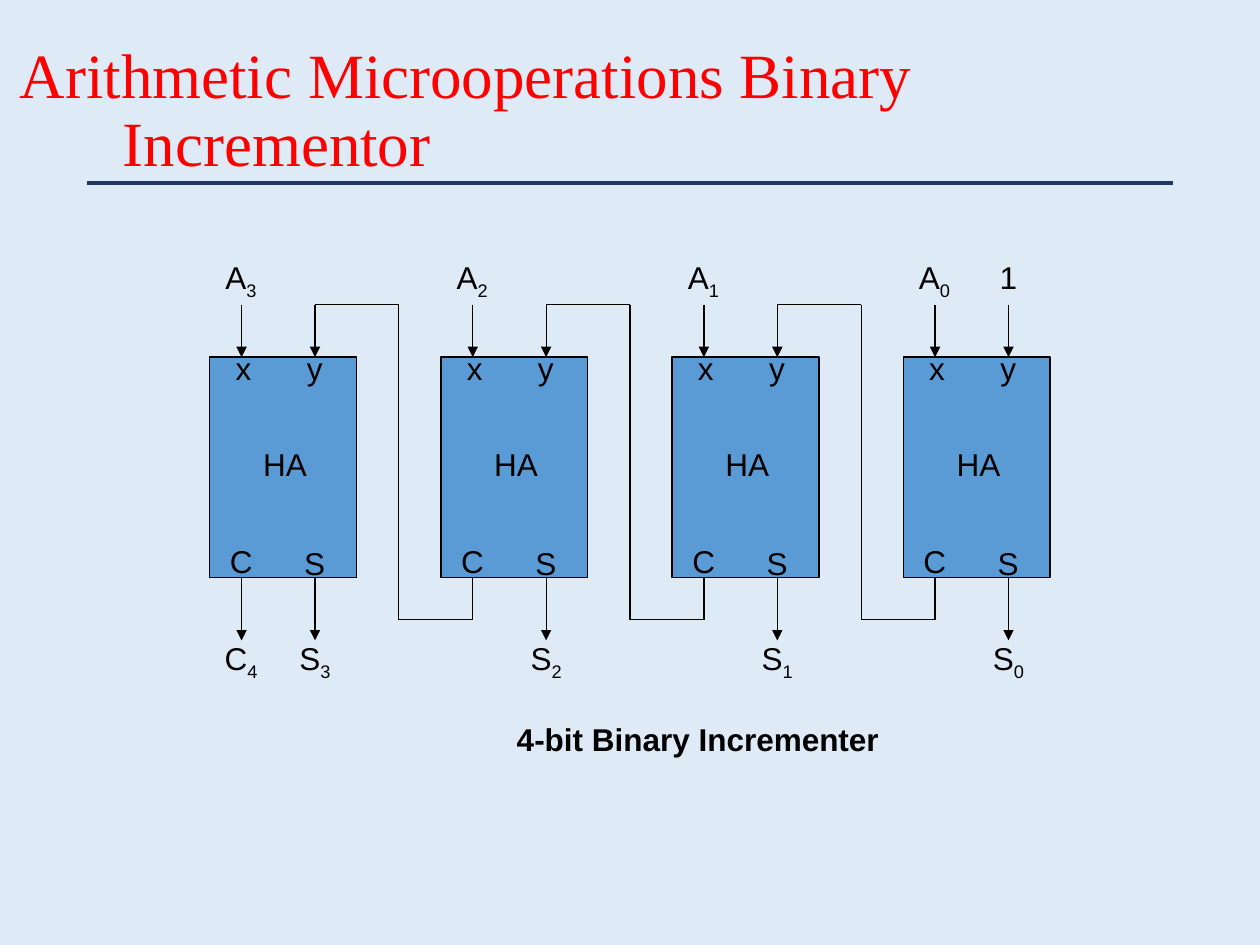
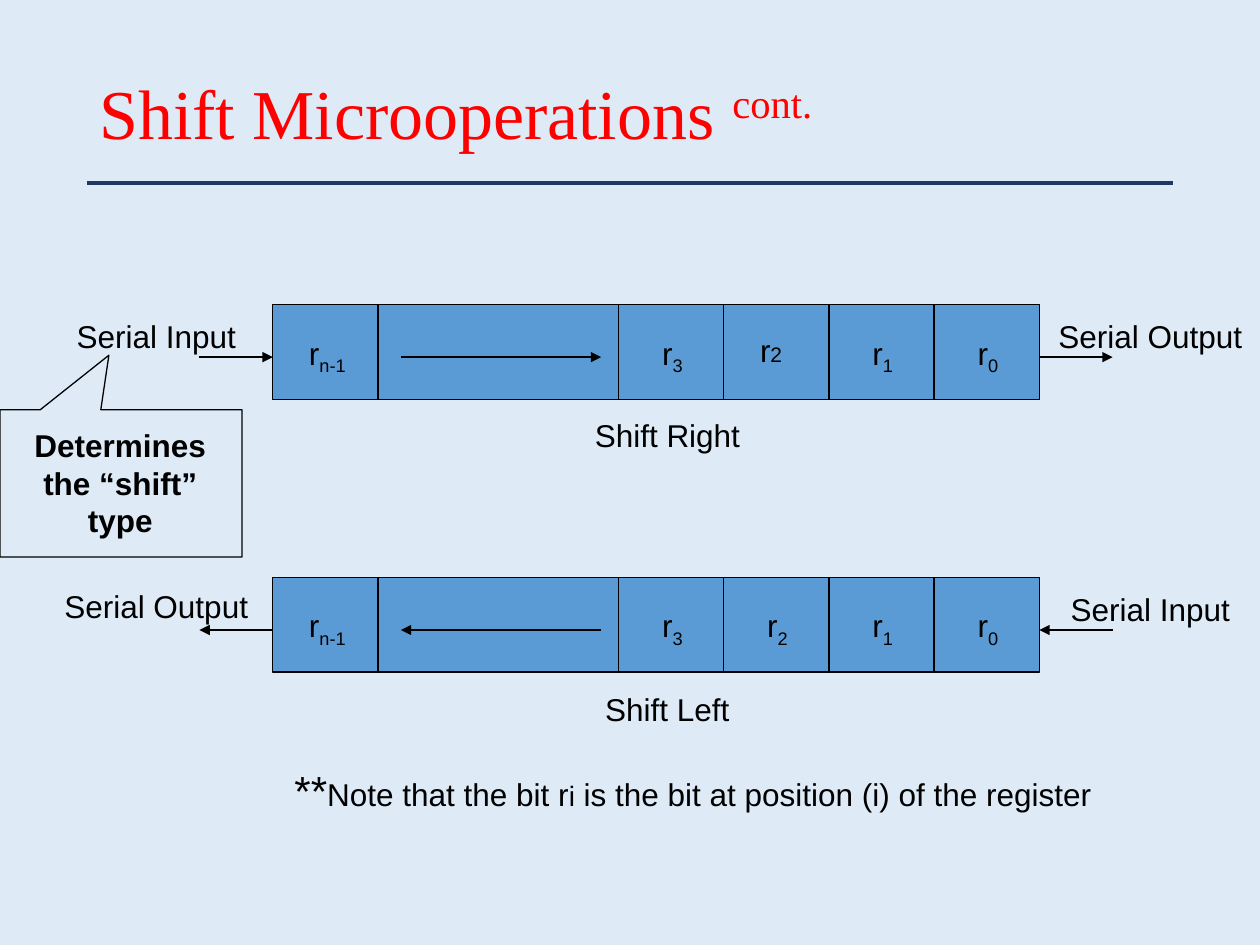
from dataclasses import dataclass

from lxml.etree import SubElement
from pptx import Presentation
from pptx.dml.color import RGBColor
from pptx.enum.shapes import MSO_CONNECTOR, MSO_SHAPE
from pptx.enum.text import MSO_ANCHOR, PP_ALIGN
from pptx.oxml.ns import qn
from pptx.util import Cm, Pt


@dataclass(frozen=True)
class Theme:
    background: RGBColor = RGBColor(0xDE, 0xEB, 0xF7)
    rule: RGBColor = RGBColor(0x20, 0x38, 0x64)
    title: RGBColor = RGBColor(0xFF, 0x00, 0x00)
    block: RGBColor = RGBColor(0x5B, 0x9B, 0xD5)
    ink: RGBColor = RGBColor(0x00, 0x00, 0x00)
    title_font: str = "Times New Roman"
    body_font: str = "Arial"
    long_title_size: int = 36
    title_size: int = 40
    star_size: int = 24
    label_size: int = 18
    index_size: int = 16
    small_size: int = 12
    line: float = 0.75
    rule_line: float = 2.25
    subscript: int = -25000
    superscript: int = 30000


T = Theme()
LABEL_H = 1.02


def add_text(s, text, left, top, width, height=LABEL_H, *, shape=None, fill=None,
             sub="", size=T.label_size, font=T.body_font, color=T.ink, bold=False,
             align=PP_ALIGN.CENTER, anchor=MSO_ANCHOR.TOP, spacing=1.0, hanging=0):
    """Add a text box, or an outlined preset shape, at a place in cm.

    text is a string or a list of (string, size, baseline) runs; sub follows it as a subscript.
    """
    box = Cm(left), Cm(top), Cm(width), Cm(height)
    if shape is None:
        sp = s.shapes.add_textbox(*box)
    else:
        sp = s.shapes.add_shape(shape, *box)
        sp.shadow.inherit = False
        sp.line.color.rgb = T.ink
        sp.line.width = Pt(T.line)
        if fill is None:
            sp.fill.background()
        else:
            sp.fill.solid()
            sp.fill.fore_color.rgb = fill
    runs = list(text) if isinstance(text, list) else [(text, size, 0)]
    if sub:
        runs.append((sub, size, T.subscript))
    tf = sp.text_frame
    tf.word_wrap = True
    tf.vertical_anchor = anchor
    p = tf.paragraphs[0]
    p.alignment = align
    p.line_spacing = spacing
    if hanging:
        pPr = p._p.get_or_add_pPr()
        pPr.set("marL", str(int(Cm(hanging))))
        pPr.set("indent", str(int(-Cm(hanging))))
    for words, points, baseline in runs:
        if not words:
            continue
        r = p.add_run()
        r.text = words
        r.font.name = font
        r.font.size = Pt(points)
        r.font.bold = bold
        r.font.color.rgb = color
        if baseline:
            r._r.get_or_add_rPr().set("baseline", str(baseline))
    return sp


def add_line(s, x1, y1, x2, y2, color=T.ink, width=T.line, arrow=False):
    c = s.shapes.add_connector(MSO_CONNECTOR.STRAIGHT, Cm(x1), Cm(y1), Cm(x2), Cm(y2))
    c.line.color.rgb = color
    c.line.width = Pt(width)
    if arrow:
        SubElement(c.line._get_or_add_ln(), qn("a:tailEnd"), type="triangle")
    SubElement(c._element.spPr, qn("a:effectLst"))


prs = Presentation()
prs.slide_width, prs.slide_height = Cm(25.4), Cm(19.05)
master_fill = prs.slide_master.background.fill
master_fill.solid()
master_fill.fore_color.rgb = T.background

# Shared title style and rule
titles = [
    ([("Arithmetic Microoperations Binary Incrementor", T.long_title_size, 0)],
     (0.15, 0.81, 24.18, 2.92), 2.08),
    ([("Shift Microoperations ", T.title_size, 0), ("cont.", T.title_size, T.superscript)],
     (1.75, 1.02, 21.9, 2.67), 0),
]
slides = []
for runs, place, hanging in titles:
    s = prs.slides.add_slide(prs.slide_layouts[6])
    add_line(s, 1.75, 3.68, 23.65, 3.68, color=T.rule, width=T.rule_line)
    add_text(s, runs, *place, font=T.title_font, color=T.title, align=PP_ALIGN.LEFT,
             anchor=MSO_ANCHOR.MIDDLE, spacing=0.9, hanging=hanging)
    slides.append(s)
incrementer, shifts = slides

# Four half adders, from the highest bit on the left to the lowest on the right
BITS = 4
FIRST_X, PITCH = 4.23, 4.66
ADDER_W, ADDER_TOP, ADDER_H = 2.96, 7.2, 4.45
ADDER_BOTTOM = ADDER_TOP + ADDER_H
PIN_1, PIN_2 = 0.64, 2.12
INPUT_Y, CARRY_Y, OUTPUT_Y = 6.14, 12.49, 12.91
pin_labels = [("C", 0, 10.8, 1.27), ("S", 1.48, 10.85, 1.27), ("x", 0.26, 6.91, 0.84),
              ("y", 1.48, 6.91, 1.27), ("HA", 0.56, 8.84, 1.91)]

for i in range(BITS):
    bit = BITS - 1 - i
    x = FIRST_X + PITCH * i
    pin_1, pin_2 = x + PIN_1, x + PIN_2
    add_text(incrementer, "", x, ADDER_TOP, ADDER_W, ADDER_H,
             shape=MSO_SHAPE.RECTANGLE, fill=T.block)
    for name, dx, y, w in pin_labels:
        add_text(incrementer, name, x + dx, y, w)
    add_line(incrementer, pin_1, INPUT_Y, pin_1, ADDER_TOP, arrow=True)
    add_line(incrementer, pin_2, ADDER_BOTTOM, pin_2, OUTPUT_Y, arrow=True)
    add_text(incrementer, "A", x - 0.22, 5.08, 1.7, sub=str(bit))
    add_text(incrementer, "S", x + 1.27, 12.75, 1.7, sub=str(bit))
    if i == 0:
        add_line(incrementer, pin_1, ADDER_BOTTOM, pin_1, OUTPUT_Y, arrow=True)
        add_text(incrementer, "C", x - 0.22, 12.75, 1.7, sub=str(BITS))
    else:
        gap_x, next_y_pin = x - 0.85, pin_2 - PITCH
        carry = [(pin_1, ADDER_BOTTOM), (pin_1, CARRY_Y), (gap_x, CARRY_Y),
                 (gap_x, INPUT_Y), (next_y_pin, INPUT_Y), (next_y_pin, ADDER_TOP)]
        for start, end in zip(carry, carry[1:]):
            add_line(incrementer, *start, *end, arrow=end == carry[-1])
    if bit == 0:
        add_line(incrementer, pin_2, INPUT_Y, pin_2, ADDER_TOP, arrow=True)
        add_text(incrementer, "1", x + 1.27, 5.08, 1.7)
add_text(incrementer, "4-bit Binary Incrementer", 6.35, 14.4, 15.44, bold=True)

# Two shift registers
REG_X, REG_W, REG_H, CELL_W = 5.5, 15.45, 1.91, 2.12
dividers = [REG_X + CELL_W] + [REG_X + REG_W - CELL_W * n for n in range(1, 5)]
flows = [(4.02, REG_X), (8.08, 12.12), (REG_X + REG_W, 22.43)]
registers = [
    ("Shift Right", 6.14, 8.26, ("Serial Input", 6.27), ("Serial Output", 6.27)),
    ("Shift Left", 11.64, 13.79, ("Serial Output", 11.71), ("Serial Input", 11.76)),
]
for name, top, name_top, (left_end, left_top), (right_end, right_top) in registers:
    to_right = name == "Shift Right"
    add_text(shifts, "", REG_X, top, REG_W, REG_H, shape=MSO_SHAPE.RECTANGLE, fill=T.block)
    for x in dividers:
        add_line(shifts, x, top, x, top + REG_H)
    for flow in flows:
        start, end = flow if to_right else flow[::-1]
        add_line(shifts, start, top + 1.06, end, top + 1.06, arrow=True)
    add_text(shifts, "r", 5.61, top + 0.46, 1.98, sub="n-1")
    for bit in range(4):
        if to_right and bit == 2:
            add_text(shifts, [("r", T.label_size, 0), ("2", T.small_size, 0)],
                     14.81, top + 0.41, 1.47)
        else:
            add_text(shifts, "r", 19.18 - CELL_W * bit, top + 0.46, 1.47, sub=str(bit))
    add_text(shifts, name, 8.69, name_top, 9.53)
    add_text(shifts, left_end, 0.71, left_top, 4.88)
    add_text(shifts, right_end, 21, right_top, 4.38)

callout = add_text(shifts, "", 0, 8.26, 4.88, 2.97, shape=MSO_SHAPE.RECTANGULAR_CALLOUT)
callout.adjustments[0], callout.adjustments[1] = -0.05, -0.87
add_text(shifts, "Determines the “shift” type", 0.2, 8.46, 4.45, 2.54, bold=True)
note = [("**", T.star_size, 0), ("Note that the bit r", T.label_size, 0),
        ("i", T.index_size, 0),
        (" is the bit at position (i) of the register", T.label_size, 0)]
add_text(shifts, note, 5.08, 15.29, 17.78, 1.27)

prs.save("out.pptx")
